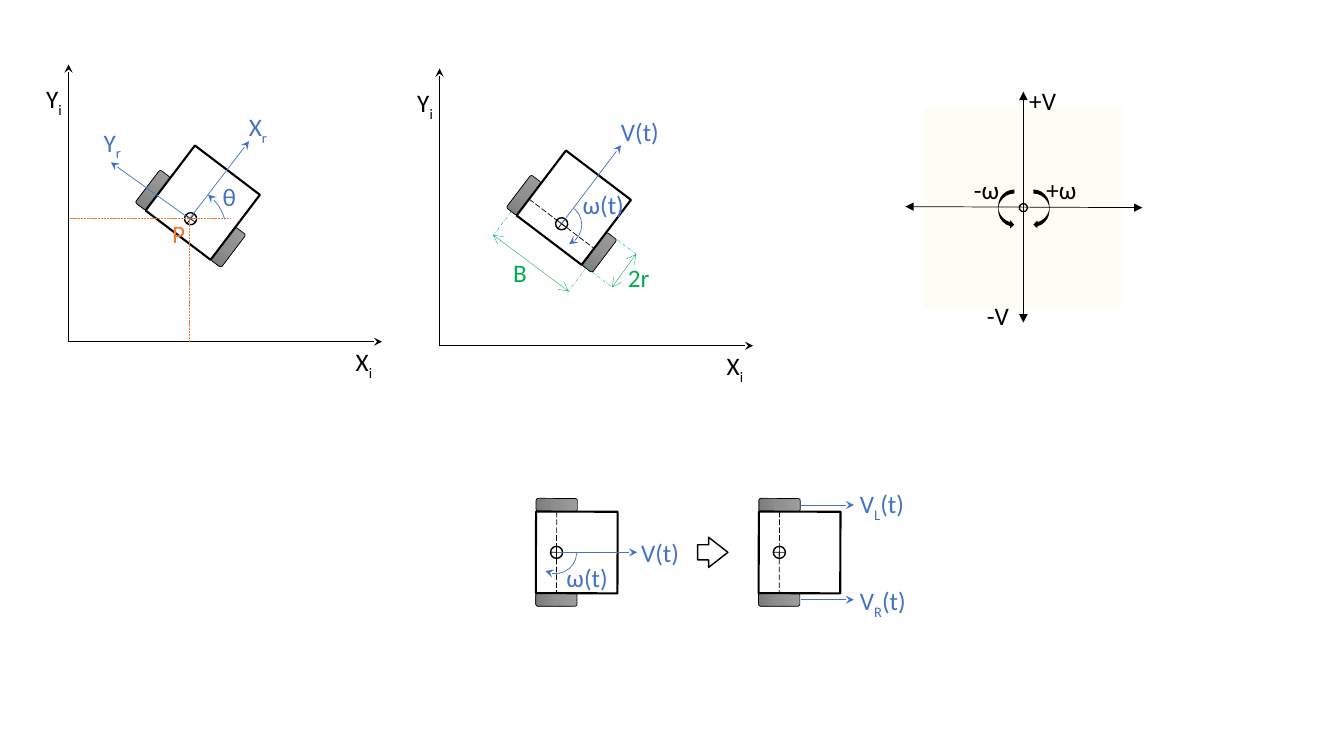
from copy import deepcopy
from math import cos, radians, sin

from lxml.etree import SubElement
from pptx import Presentation
from pptx.dml.color import RGBColor as RGB
from pptx.enum.dml import MSO_LINE as DASH
from pptx.enum.shapes import MSO_CONNECTOR, MSO_SHAPE as SHAPE
from pptx.enum.text import MSO_AUTO_SIZE
from pptx.oxml.ns import qn
from pptx.util import Inches, Pt


class Theme:
    font = "Calibri"
    size = Pt(18)
    black = RGB.from_string("000000")
    white = RGB.from_string("FFFFFF")
    blue = RGB.from_string("4472C4")
    orange = RGB.from_string("ED7D31")
    green = RGB.from_string("00B050")
    cream = RGB.from_string("FFE699")
    wheel = [RGB.from_string(c) for c in ("9D9D9D", "909090", "7C7C7C")]
    hair, thin, medium, thick = Pt(0.25), Pt(0.5), Pt(1), Pt(1.5)


prs = Presentation()
prs.slide_width, prs.slide_height = Inches(13.33), Inches(7.5)
slide = prs.slides.add_slide(prs.slide_layouts[6])


def add_shape(kind, x, y, w, h, fill=None, line=None, width=Theme.thin, rot=0):
    sp = slide.shapes.add_shape(kind, Inches(x), Inches(y), Inches(w), Inches(h))
    sp.shadow.inherit = False
    sp.rotation = rot
    if fill is None:
        sp.fill.background()
    else:
        sp.fill.solid()
        sp.fill.fore_color.rgb = fill
    if line is None:
        sp.line.fill.background()
    else:
        sp.line.color.rgb = line
        sp.line.width = width
    return sp


def add_line(x1, y1, x2, y2, color=Theme.black, width=Theme.thin, dash=None, head=None, tail=None):
    c = slide.shapes.add_connector(
        MSO_CONNECTOR.STRAIGHT, Inches(x1), Inches(y1), Inches(x2), Inches(y2))
    c.line.color.rgb = color
    c.line.width = width
    if dash is not None:
        c.line.dash_style = dash
    spPr = c.element.spPr
    for tag, end in (("a:headEnd", head), ("a:tailEnd", tail)):
        if end:
            SubElement(spPr.find(qn("a:ln")), qn(tag)).set("type", end)
    SubElement(spPr, qn("a:effectLst"))


labels = [
    (1.61, 2.12, 0.33, Theme.orange, ["P"]),
    (0.93, 1.21, 0.37, Theme.blue, ["Y", "r"]),
    (2.37, 1.06, 0.39, Theme.blue, ["X", "r"]),
    (2.11, 1.75, 0.34, Theme.blue, ["θ"]),
    (6.06, 1.1, 0.58, Theme.blue, ["V(t)"]),
    (5.68, 1.83, 0.62, Theme.blue, ["ω(t)"]),
    (6.13, 2.55, 0.42, Theme.green, ["2r"]),
    (4.99, 2.5, 0.34, Theme.green, ["B"]),
    (6.26, 5.28, 0.61, Theme.blue, ["V(t)"]),
    (5.52, 5.53, 0.62, Theme.blue, ["ω(t)"]),
    (8.43, 4.8, 0.65, Theme.blue, ["V", "L", "(t)"]),
    (8.43, 5.76, 0.68, Theme.blue, ["V", "R", "(t)"]),
    (10.11, 0.8, 0.47, Theme.black, ["+V"]),
    (10.28, 1.68, 0.5, Theme.black, ["+ω"]),
    (9.56, 1.68, 0.45, Theme.black, ["-ω"]),
    (9.69, 2.93, 0.42, Theme.black, ["-V"]),
]

for x, y in ((0.68, 3.39), (4.36, 3.43)):
    add_line(x, y, x, y - 2.75, tail="stealth")
    add_line(x, y, x + 3.11, y, tail="stealth")
    labels.append((x - 0.32, y - 2.61, 0.36, Theme.black, ["Y", "i"]))
    labels.append((x + 2.75, y, 0.37, Theme.black, ["X", "i"]))

robots = [(1.89, 2.17, 37.2, False), (5.57, 2.22, 37.2, True),
          (5.52, 5.48, 90.2, True), (7.73, 5.48, 90.2, True)]
body, hub, wheel_w, wheel_h = 0.81, 0.12, 0.13, 0.41
for cx, cy, rot, show_axle in robots:
    s, c = sin(radians(rot)), cos(radians(rot))
    for side in (-0.47, 0.47):
        sp = add_shape(SHAPE.ROUNDED_RECTANGLE, cx + side * c - wheel_w / 2,
                       cy + side * s - wheel_h / 2, wheel_w, wheel_h,
                       line=Theme.black, rot=rot)
        sp.fill.gradient()
        sp.fill.gradient_angle = 270
        first = sp.element.spPr.find(".//" + qn("a:gs"))
        first.addnext(deepcopy(first))
        for stop, pos, color in zip(sp.fill.gradient_stops, (0, 0.5, 1), Theme.wheel):
            stop.position = pos
            stop.color.rgb = color
    add_shape(SHAPE.RECTANGLE, cx + 0.2 * s - body / 2, cy - 0.2 * c - body / 2,
              body, body, line=Theme.black, width=Theme.thick, rot=rot)
    add_shape(SHAPE.OVAL, cx - hub / 2, cy - hub / 2, hub, hub,
              line=Theme.black, width=Theme.medium, rot=rot)
    for dx, dy in ((s, -c), (c, s)):
        r = hub / 2
        add_line(cx + r * dx, cy + r * dy, cx - r * dx, cy - r * dy)
    if show_axle:
        r = body / 2
        add_line(cx - r * c, cy - r * s, cx + r * c, cy + r * s, dash=DASH.LONG_DASH)

for ends in ((1.88, 3.39, 1.88, 2.17), (0.69, 2.17, 2.28, 2.17)):
    add_line(*ends, Theme.orange, dash=DASH.SQUARE_DOT)

velocities = [(1.88, 2.17, 1.1, 1.61), (1.88, 2.17, 2.47, 1.4), (5.57, 2.22, 6.16, 1.44),
              (5.52, 5.48, 6.32, 5.48), (7.94, 5.01, 8.47, 5.01), (7.94, 5.95, 8.47, 5.95)]
for ends in velocities:
    add_line(*ends, Theme.blue, tail="stealth")

turns = [(1.25, 1.82, 1, 38.8, 162, False), (5.35, 2.02, 0.42, 74.6, 113.09, True),
         (5.3, 5.27, 0.42, 124.6, 111.48, True)]
for x, y, size, rot, start, flip in turns:
    sp = add_shape(SHAPE.ARC, x, y, size, size, line=Theme.blue, rot=rot)
    sp.adjustments[0], sp.adjustments[1] = start, 182.54
    if flip:
        sp.element.spPr.xfrm.flipH = True
    SubElement(sp.element.spPr.find(qn("a:ln")), qn("a:headEnd")).set("type", "stealth")

extensions = [(6.07, 2.34, 6.31, 2.52), (5.82, 2.66, 6.06, 2.84),
              (5.07, 2.1, 4.89, 2.34), (5.81, 2.66, 5.63, 2.9)]
for ends in extensions:
    add_line(*ends, Theme.green, Theme.hair, DASH.DASH_DOT_DOT)
for ends in ((6.31, 2.52, 6.07, 2.85), (5.64, 2.89, 4.89, 2.33)):
    add_line(*ends, Theme.green, Theme.hair, head="arrow", tail="arrow")

sp = add_shape(SHAPE.RIGHT_ARROW, 6.92, 5.33, 0.3, 0.3, Theme.white, Theme.black, Theme.medium)
sp.adjustments[0], sp.adjustments[1] = 0.5, 0.64

for x in (9.17, 10.16):
    for y in (1.06, 2.06):
        sp = add_shape(SHAPE.RECTANGLE, x, y, 0.97, 0.99, Theme.cream)
        rgb = sp.element.spPr.find(".//" + qn("a:srgbClr"))
        SubElement(rgb, qn("a:alpha")).set("val", "10000")
add_shape(SHAPE.OVAL, 10.11, 2.02, 0.08, 0.08, line=Theme.black, width=Theme.medium)
for ends in ((8.98, 2.05, 11.33, 2.06), (10.15, 0.91, 10.15, 3.2)):
    add_line(*ends, head="triangle", tail="triangle")
for kind, x in ((SHAPE.CURVED_RIGHT_ARROW, 9.9), (SHAPE.CURVED_LEFT_ARROW, 10.25)):
    add_shape(kind, x, 1.88, 0.16, 0.39, Theme.black)

for x, y, w, color, parts in labels:
    tf = slide.shapes.add_textbox(Inches(x), Inches(y), Inches(w), Inches(0.4)).text_frame
    tf.word_wrap = False
    tf.auto_size = MSO_AUTO_SIZE.SHAPE_TO_FIT_TEXT
    p = tf.paragraphs[0]
    p.font.name, p.font.size, p.font.color.rgb = Theme.font, Theme.size, color
    for i, part in enumerate(parts):
        r = p.add_run()
        r.text = part
        if i == 1:
            r._r.get_or_add_rPr().set("baseline", "-25000")

prs.save("out.pptx")
